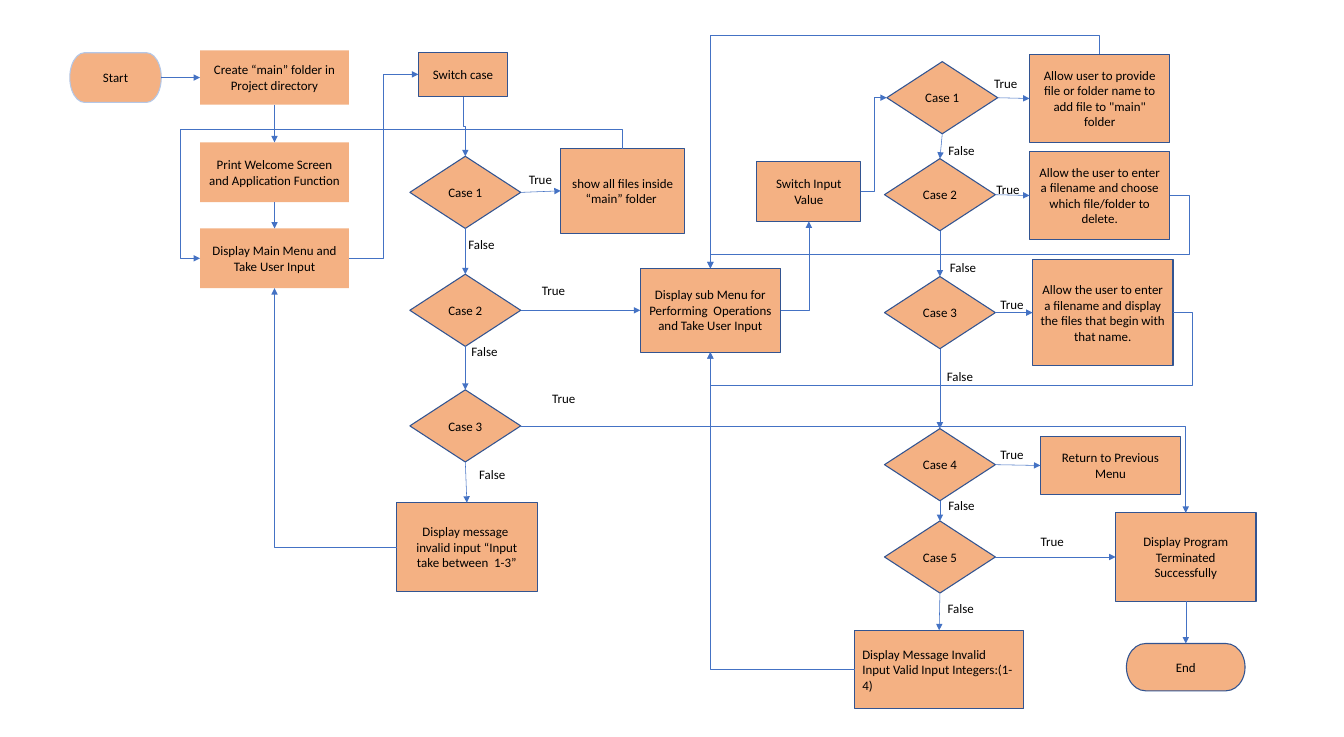
from dataclasses import dataclass

from lxml.etree import SubElement
from pptx import Presentation
from pptx.dml.color import RGBColor
from pptx.enum.shapes import MSO_CONNECTOR, MSO_SHAPE
from pptx.enum.text import MSO_ANCHOR, MSO_AUTO_SIZE, PP_ALIGN
from pptx.oxml.ns import qn
from pptx.util import Inches, Pt


@dataclass(frozen=True)
class Theme:
    fill: str = "F4B183"
    outline: str = "325491"
    pale_outline: str = "B4C7E7"
    arrow: str = "4472C4"
    text: str = "000000"
    font: str = "Calibri"
    size: float = 12
    outline_width: float = 1
    arrow_width: float = 0.5


THEME = Theme()
PAGE_SIZE = (17.33, 9.5)
LABEL_SIZE = (0.54, 0.3)

# Centre lines of the columns
INTRO, MAIN_CASES, SUB_MENU, SUB_CASES, ACTIONS, FINISH = 3.54, 6.0, 9.16, 12.12, 14.18, 15.29

STEP, WIDE_STEP, CASE = (1.92, 0.77), (1.81, 1.14), (1.43, 0.93)

RECT, PROCESS = MSO_SHAPE.RECTANGLE, MSO_SHAPE.FLOWCHART_PROCESS
DECISION, TERMINATOR = MSO_SHAPE.FLOWCHART_DECISION, MSO_SHAPE.FLOWCHART_TERMINATOR

# name: (text, kind, centre x, centre y, size)
BOXES = {
    "start": ("Start", TERMINATOR, 1.49, 1.0, (1.18, 0.64)),
    "create": ("Create “main” folder in Project directory", RECT, INTRO, 1.0, (1.92, 0.7)),
    "welcome": ("Print Welcome Screen and Application Function", RECT, INTRO, 2.22, STEP),
    "menu": ("Display Main Menu and Take User Input", RECT, INTRO, 3.33, STEP),
    "switch": ("Switch case", RECT, 5.97, 0.96, (1.15, 0.57)),
    "main 1": ("Case 1", DECISION, MAIN_CASES, 2.48, CASE),
    "main 2": ("Case 2", DECISION, MAIN_CASES, 4.0, CASE),
    "main 3": ("Case 3", DECISION, MAIN_CASES, 5.49, CASE),
    "show": ("show all files inside “main” folder ", PROCESS, 8.03, 2.46, (1.6, 1.09)),
    "invalid": ("Display message  invalid input “Input take between  1-3”",
                PROCESS, 6.02, 7.05, WIDE_STEP),
    "sub menu": ("Display sub Menu for Performing  Operations and Take User Input",
                 PROCESS, SUB_MENU, 4.0, (1.81, 1.08)),
    "sub switch": ("Switch Input\nValue", RECT, 10.43, 2.47, (1.34, 0.77)),
    "sub 1": ("Case 1", DECISION, 12.15, 1.26, CASE),
    "sub 2": ("Case 2", DECISION, SUB_CASES, 2.51, CASE),
    "sub 3": ("Case 3", DECISION, SUB_CASES, 4.03, CASE),
    "sub 4": ("Case 4", DECISION, SUB_CASES, 5.99, CASE),
    "sub 5": ("Case 5", DECISION, SUB_CASES, 7.18, CASE),
    "add": ('Allow user to provide file or folder name to add file to "main" folder',
            PROCESS, ACTIONS, 1.27, WIDE_STEP),
    "delete": ("Allow the user to enter a filename and choose which file/folder to delete.",
               PROCESS, ACTIONS, 2.52, WIDE_STEP),
    "find": ("Allow the user to enter a filename and display the files that begin with "
             "that name.", PROCESS, 14.22, 4.03, (1.81, 1.37)),
    "return": ("Return to Previous Menu", PROCESS, 14.32, 6.0, (1.81, 0.74)),
    "sub invalid": ("Display Message Invalid Input Valid Input Integers:(1-4)",
                    PROCESS, 12.11, 8.63, (2.18, 1.01)),
    "terminated": ("Display Program Terminated Successfully", PROCESS, FINISH, 7.18, WIDE_STEP),
    "end": ("End", TERMINATOR, FINISH, 8.6, (1.53, 0.61)),
}
OUTLINES = {"start": THEME.pale_outline, "create": None, "welcome": None, "menu": None}
LEFT_ALIGNED = {"sub invalid"}

# Runs of boxes joined by straight arrows, with the sides left and entered
STRAIGHT_RUNS = [
    ("right", "left", [("start", "create"), ("main 1", "show"), ("main 2", "sub menu"),
                       ("sub 1", "add"), ("sub 2", "delete"), ("sub 3", "find"),
                       ("sub 4", "return"), ("sub 5", "terminated")]),
    ("bottom", "top", [("create", "welcome"), ("welcome", "menu"), ("main 1", "main 2"),
                       ("main 2", "main 3"), ("main 3", "invalid"), ("sub 1", "sub 2"),
                       ("sub 2", "sub 3"), ("sub 3", "sub 4"), ("sub 4", "sub 5"),
                       ("sub 5", "sub invalid"), ("terminated", "end")]),
]
# (from, side, to, side, lanes that the arrow turns into, x and y in turn)
BENT_ARROWS = [
    ("menu", "right", "switch", "left", [4.94]),
    ("switch", "bottom", "main 1", "top", [1.63]),
    ("invalid", "left", "menu", "bottom", []),
    ("main 3", "right", "terminated", "top", []),
    ("sub switch", "right", "sub 1", "left", [11.27]),
    ("sub invalid", "left", "sub menu", "bottom", []),
    ("show", "top", "menu", "left", [1.66, 2.33]),
    ("sub menu", "right", "sub switch", "bottom", []),
    ("find", "right", "sub menu", "bottom", [15.37, 4.96]),
    ("delete", "right", "sub menu", "top", [15.34, 3.28]),
    ("add", "top", "sub menu", "top", [0.45]),
]
# answer: left and top of each label
LABELS = {
    "True": [(6.72, 2.16), (6.89, 3.6), (7.02, 4.99), (12.72, 0.93), (12.75, 2.29),
             (12.8, 3.78), (12.8, 5.71), (13.32, 6.83)],
    "False": [(5.94, 3.0), (5.98, 4.38), (6.08, 5.96), (12.13, 1.79), (12.15, 3.3),
              (12.11, 4.7), (12.13, 6.36), (12.12, 7.69)],
}
SIDES = {"top": (0, 0, -0.5), "left": (1, -0.5, 0), "bottom": (2, 0, 0.5), "right": (3, 0.5, 0)}


def color(code):
    return RGBColor.from_string(code)


def write(frame, text, align=PP_ALIGN.LEFT, anchor=MSO_ANCHOR.TOP, wrap=True):
    frame.text = text
    frame.word_wrap = wrap
    frame.vertical_anchor = anchor
    for para in frame.paragraphs:
        para.alignment = align
        for span in para.runs:
            span.font.name, span.font.size = THEME.font, Pt(THEME.size)
            span.font.color.rgb = color(THEME.text)


def add_box(page, name):
    text, kind, x, y, (width, height) = BOXES[name]
    box = page.shapes.add_shape(kind, Inches(x - width / 2), Inches(y - height / 2),
                                Inches(width), Inches(height))
    box.shadow.inherit = False
    box.fill.solid()
    box.fill.fore_color.rgb = color(THEME.fill)
    outline = OUTLINES.get(name, THEME.outline)
    if outline:
        box.line.color.rgb = color(outline)
        box.line.width = Pt(THEME.outline_width)
    else:
        box.line.fill.background()
    align = PP_ALIGN.LEFT if name in LEFT_ALIGNED else PP_ALIGN.CENTER
    write(box.text_frame, text, align=align, anchor=MSO_ANCHOR.MIDDLE)
    return box


def side_point(name, side):
    _, _, x, y, (width, height) = BOXES[name]
    _, across, down = SIDES[side]
    return x + across * width, y + down * height


def add_arrow(page, boxes, source, leave, target, enter, lanes=None):
    start, end = side_point(source, leave), side_point(target, enter)
    kind = MSO_CONNECTOR.STRAIGHT if lanes is None else MSO_CONNECTOR.ELBOW
    arrow = page.shapes.add_connector(kind, *map(Inches, start + end))
    arrow.begin_connect(boxes[source], SIDES[leave][0])
    arrow.end_connect(boxes[target], SIDES[enter][0])
    arrow.line.color.rgb = color(THEME.arrow)
    arrow.line.width = Pt(THEME.arrow_width)
    properties = arrow.element.spPr
    SubElement(properties.find(qn("a:ln")), qn("a:tailEnd"), type="triangle")
    SubElement(properties, qn("a:effectLst"))
    if lanes is not None:
        bend(arrow, start, end, lanes, vertical=leave in ("top", "bottom"))


def bend(arrow, start, end, lanes, vertical):
    """Turn the elbow into its lanes; one that leaves vertically is rotated by 270 degrees."""
    delta = [b - a for a, b in zip(start, end)]
    width, height = map(abs, delta)
    frame = arrow.element.spPr.find(qn("a:xfrm"))
    if vertical:
        width, height = height, width
        frame.set("rot", str(270 * 60000))
    flip_h = delta[1] > 0 if vertical else delta[0] < 0
    flip_v = delta[0] < 0 if vertical else delta[1] < 0
    frame.set("flipH", str(int(flip_h)))
    frame.set("flipV", str(int(flip_v)))
    arrow.left = Inches((start[0] + end[0] - width) / 2)
    arrow.top = Inches((start[1] + end[1] - height) / 2)
    arrow.width, arrow.height = Inches(width), Inches(height)

    geometry = arrow.element.spPr.find(qn("a:prstGeom"))
    geometry.set("prst", f"bentConnector{len(lanes) + 2}")
    guides = geometry.find(qn("a:avLst"))
    for number, lane in enumerate(lanes):
        axis = (number + vertical) % 2
        share = (lane - start[axis]) / delta[axis]
        SubElement(guides, qn("a:gd"), name=f"adj{number + 1}", fmla=f"val {round(share * 100000)}")


def main():
    deck = Presentation()
    deck.slide_width, deck.slide_height = map(Inches, PAGE_SIZE)
    page = deck.slides.add_slide(deck.slide_layouts[6])
    boxes = {name: add_box(page, name) for name in BOXES}
    for leave, enter, pairs in STRAIGHT_RUNS:
        for source, target in pairs:
            add_arrow(page, boxes, source, leave, target, enter)
    for route in BENT_ARROWS:
        add_arrow(page, boxes, *route)
    for answer, places in LABELS.items():
        for place in places:
            label = page.shapes.add_textbox(*map(Inches, place + LABEL_SIZE))
            write(label.text_frame, answer, wrap=False)
            label.text_frame.auto_size = MSO_AUTO_SIZE.SHAPE_TO_FIT_TEXT
    deck.save("out.pptx")


if __name__ == "__main__":
    main()
